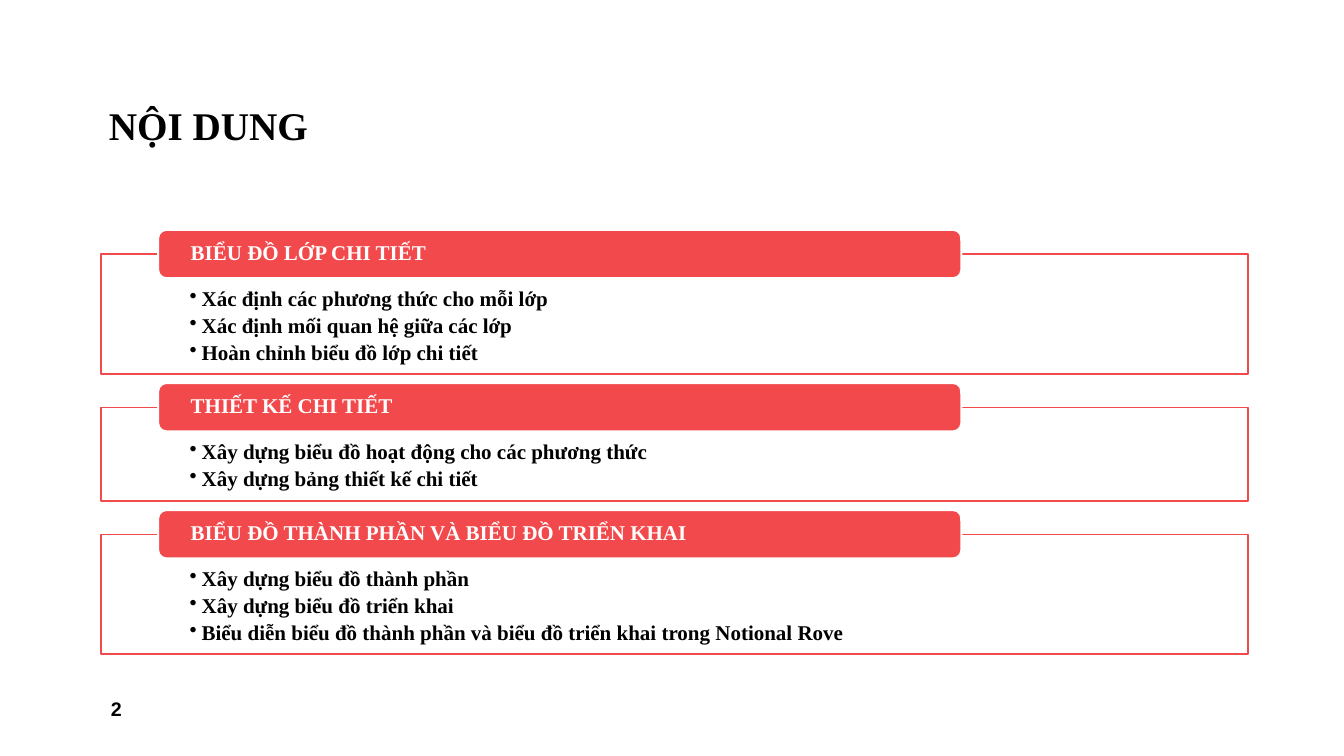
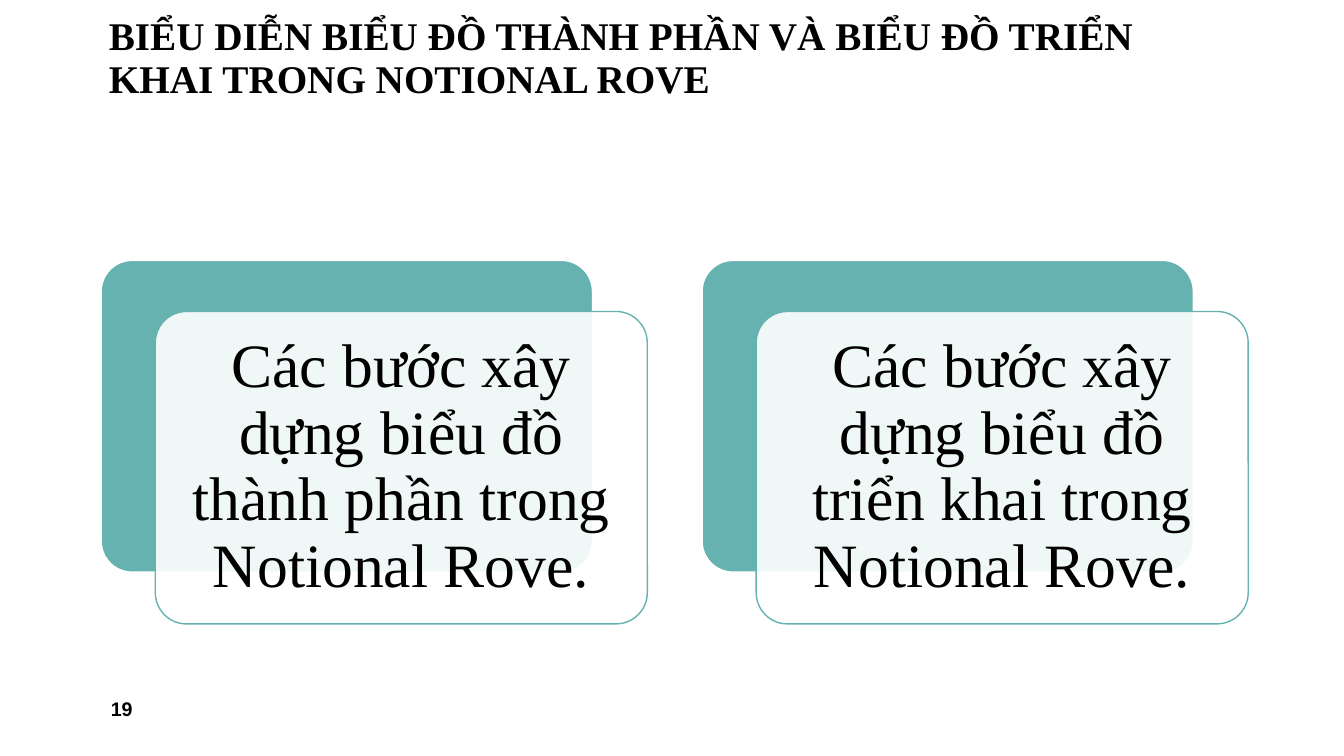
from pptx import Presentation
from pptx.dml.color import RGBColor
from pptx.enum.shapes import MSO_SHAPE
from pptx.enum.text import MSO_ANCHOR, MSO_AUTO_SIZE, PP_ALIGN
from pptx.oxml.ns import qn
from pptx.util import Inches, Pt
from lxml.etree import SubElement

# Content
AGENDA = {
    "number": "2",
    "title": "NỘI DUNG",
    "sections": [
        ("BIỂU ĐỒ LỚP CHI TIẾT", [
            "Xác định các phương thức cho mỗi lớp",
            "Xác định mối quan hệ giữa các lớp",
            "Hoàn chỉnh biểu đồ lớp chi tiết"]),
        ("THIẾT KẾ CHI TIẾT", [
            "Xây dựng biểu đồ hoạt động cho các phương thức",
            "Xây dựng bảng thiết kế chi tiết"]),
        ("BIỂU ĐỒ THÀNH PHẦN VÀ BIỂU ĐỒ TRIỂN KHAI", [
            "Xây dựng biểu đồ thành phần",
            "Xây dựng biểu đồ triển khai",
            "Biểu diễn biểu đồ thành phần và biểu đồ triển khai trong Notional Rove"]),
    ],
}
STEPS = {
    "number": "19",
    "title": "BIỂU DIỄN BIỂU ĐỒ THÀNH PHẦN VÀ BIỂU ĐỒ TRIỂN KHAI TRONG NOTIONAL ROVE",
    "cards": [
        "Các bước xây dựng biểu đồ thành phần trong Notional Rove.",
        "Các bước xây dựng biểu đồ triển khai trong Notional Rove."],
}

# Shared style
COLORS = {"text": "000000", "paper": "FFFFFF", "red": "F2494C", "teal": "66B2B0"}
SERIF = "Times New Roman"
STYLES = {
    "title": dict(name=SERIF, size=Pt(28), bold=True, color="text"),
    "number": dict(name="Arial", size=Pt(14), bold=True, color="text"),
    "heading": dict(name=SERIF, size=Pt(15), bold=True, color="paper"),
    "bullet": dict(name=SERIF, size=Pt(15), bold=True, color="text"),
    "card": dict(name=SERIF, size=Pt(44), bold=False, color="text"),
}
LEFT, WIDTH = 1, 11.38
TITLE_BOX = (0.98, 0.08, WIDTH, 1.45)
NUMBER_BOX = (LEFT, 6.83, 2.92, 0.4)


def rgb(name):
    return RGBColor.from_string(COLORS[name])


def write(sp, lines, style, insets=(0.1, 0.05, 0.1, 0.05), anchor=MSO_ANCHOR.MIDDLE,
          align=PP_ALIGN.LEFT, spacing=0.9, after=0, bullet=False):
    tf = sp.text_frame
    frame = dict(zip(("margin_left", "margin_top", "margin_right", "margin_bottom"),
                     map(Inches, insets)))
    frame |= dict(word_wrap=True, auto_size=MSO_AUTO_SIZE.NONE, vertical_anchor=anchor)
    for key, value in frame.items():
        setattr(tf, key, value)
    for i, line in enumerate(lines):
        p = tf.paragraphs[0] if i == 0 else tf.add_paragraph()
        if bullet:
            pPr = p._p.get_or_add_pPr()
            pPr.set("marL", str(Inches(0.12)))
            pPr.set("indent", str(Inches(-0.12)))
            SubElement(pPr, qn("a:buChar"), char="•")
        p.alignment, p.line_spacing, p.space_after = align, spacing, Pt(after)
        r = p.add_run()
        r.text = line
        for key, value in STYLES[style].items():
            if key == "color":
                r.font.color.rgb = rgb(value)
            else:
                setattr(r.font, key, value)


def add_box(s, kind, box, fill, line, weight, alpha=None, radius=None):
    sp = s.shapes.add_shape(kind, *map(Inches, box))
    sp.shadow.inherit = False
    sp.fill.solid()
    sp.fill.fore_color.rgb = rgb(fill)
    sp.line.color.rgb = rgb(line)
    sp.line.width = Pt(weight)
    if alpha:
        color = sp._element.spPr.find(qn("a:solidFill"))[0]
        SubElement(color, qn("a:alpha"), val=str(alpha * 1000))
    if radius:
        sp.adjustments[0] = radius
    return sp


def add_slide(prs, content, title_bottom=0.05):
    s = prs.slides.add_slide(prs.slide_layouts[5])
    title = s.shapes.title
    title.left, title.top, title.width, title.height = map(Inches, TITLE_BOX)
    write(title, [content["title"]], "title", (0.1, 0.05, 0.1, title_bottom),
          MSO_ANCHOR.BOTTOM)
    number = s.shapes.add_textbox(*map(Inches, NUMBER_BOX))
    write(number, [content["number"]], "number", spacing=1)
    return s


def build_agenda(prs):
    s = add_slide(prs, AGENDA)
    top, gap, row = 2.52, 0.33, 0.26
    for heading, bullets in AGENDA["sections"]:
        height = 0.41 + row * len(bullets)
        # Outlined panel with its bullets
        panel = add_box(s, MSO_SHAPE.RECTANGLE, (LEFT, top, WIDTH, height),
                        "paper", "red", 1, alpha=90)
        write(panel, bullets, "bullet", (0.88, 0.34, 0.88, 0.12), MSO_ANCHOR.TOP,
              after=3, bullet=True)
        # Heading tab across the panel's upper edge
        tab = add_box(s, MSO_SHAPE.ROUNDED_RECTANGLE,
                      (LEFT + WIDTH * 0.05, top - 0.24, WIDTH * 0.7, 0.48),
                      "red", "paper", 1.5)
        write(tab, [heading], "heading", (0.3, 0, 0.3, 0))
        top += height + gap


def build_steps(prs):
    s = add_slide(prs, STEPS, title_bottom=0.52)
    top, width, height, dx, dy = 2.58, 4.88, 3.1, 0.54, 0.51
    pitch = WIDTH - width - dx
    for i, text in enumerate(STEPS["cards"]):
        left = LEFT + i * pitch
        # Coloured back plate, then the translucent card
        add_box(s, MSO_SHAPE.ROUNDED_RECTANGLE, (left, top, width, height),
                "teal", "paper", 1.5, radius=0.1)
        card = add_box(s, MSO_SHAPE.ROUNDED_RECTANGLE, (left + dx, top + dy, width, height),
                       "paper", "teal", 1, alpha=90, radius=0.1)
        write(card, [text], "card", (0.18,) * 4, align=PP_ALIGN.CENTER)


def main():
    prs = Presentation()
    prs.slide_width, prs.slide_height = Inches(13.33), Inches(7.5)
    build_agenda(prs)
    build_steps(prs)
    prs.save("out.pptx")


if __name__ == "__main__":
    main()
